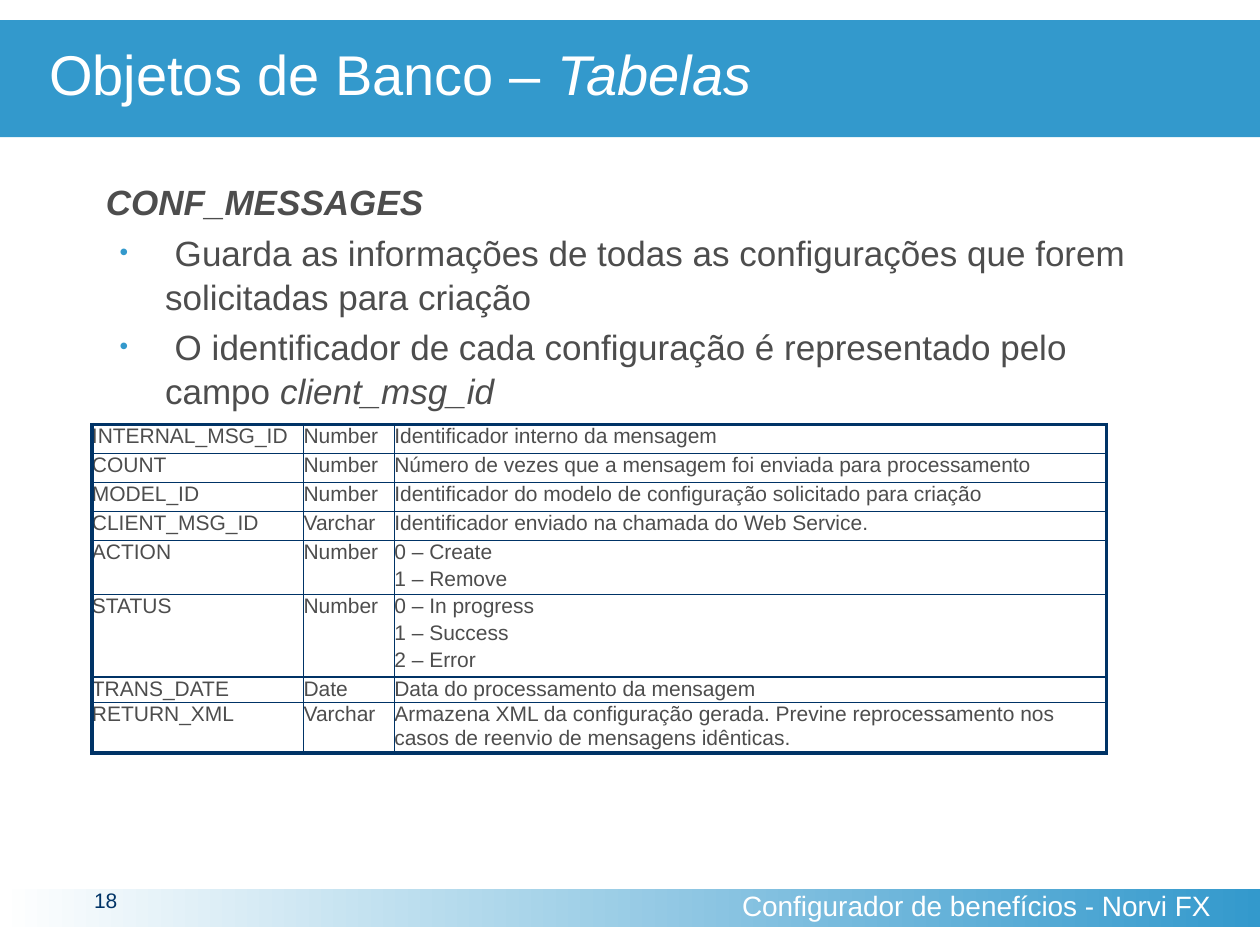
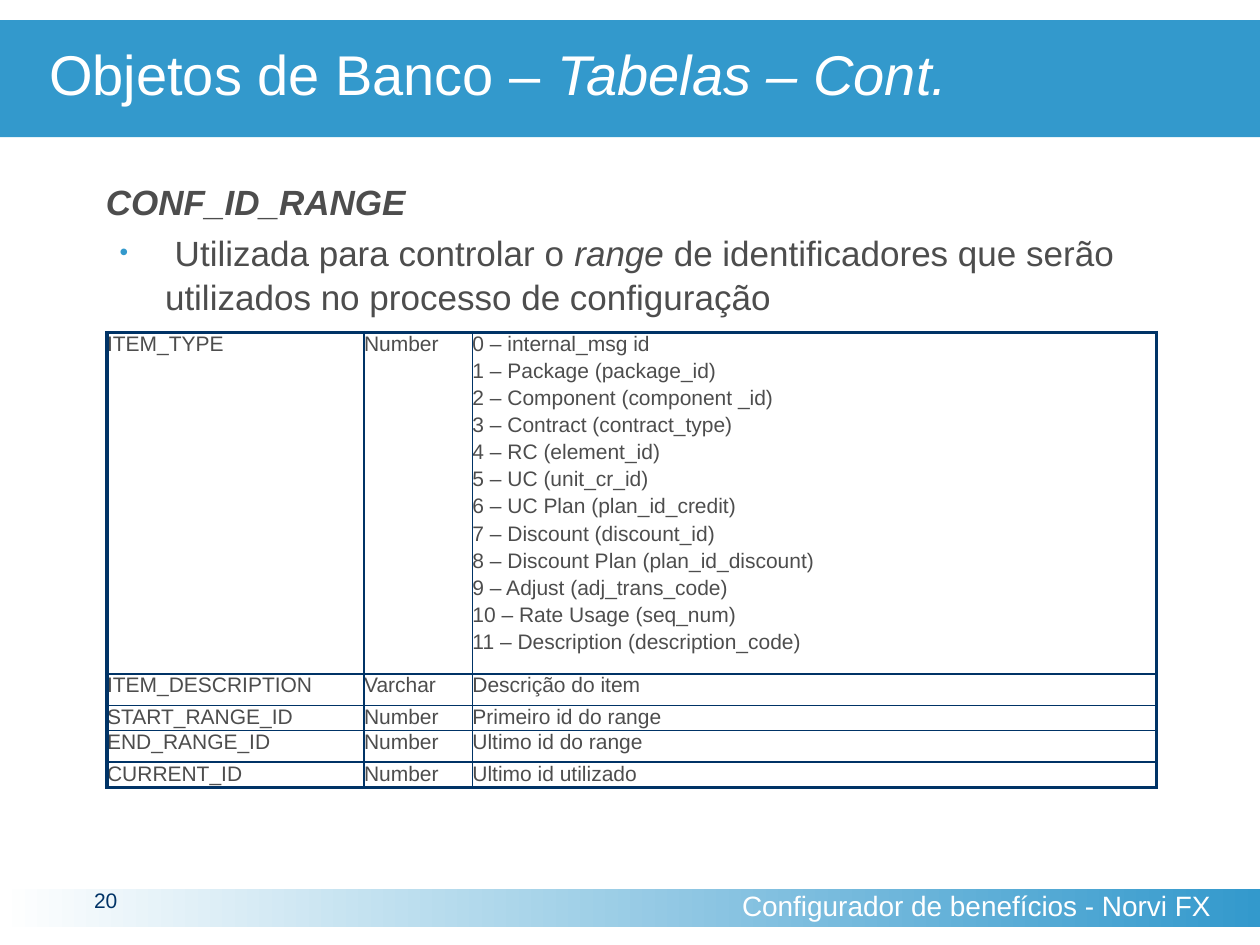
from dataclasses import dataclass

from lxml.etree import SubElement
from pptx import Presentation
from pptx.dml.color import RGBColor
from pptx.enum.shapes import MSO_SHAPE
from pptx.enum.text import MSO_ANCHOR, PP_ALIGN
from pptx.oxml.ns import qn
from pptx.util import Inches, Pt


@dataclass(frozen=True)
class Theme:
    font: str = "Arial"
    band: str = "3399CC"
    navy: str = "003366"
    ink: str = "4D4D4D"
    white: str = "FFFFFF"
    title_size: int = 32
    body_size: int = 20
    footer_size: int = 16
    small_size: int = 12
    outer_line: float = 2.25
    inner_line: float = 1


THEME = Theme()
WIDTH, HEIGHT = 10, 7.5
FOOTER_TOP, FOOTER_HEIGHT = 7.06, 0.3
FOOTER = "Configurador de benefícios - Norvi FX"

# Content: each paragraph is a list of (text, style) spans, style "b", "i" or both
SLIDES = [
    {
        "number": "18",
        "title": [("Objetos de Banco – ", ""), ("Tabelas", "i")],
        "heading": "CONF_MESSAGES",
        "bullets": [
            [(" Guarda as informações de todas as configurações que forem "
              "solicitadas para criação", "")],
            [(" O identificador de cada configuração é representado pelo campo ", ""),
             ("client_msg_id", "i")],
        ],
        "table_at": (0.73, 3.37),
        "columns": (1.68, 0.72, 5.65),
        "rows": [
            (0.23, "INTERNAL_MSG_ID", "Number", ["Identificador interno da mensagem"]),
            (0.23, "COUNT", "Number",
             ["Número de vezes que a mensagem foi enviada para processamento"]),
            (0.23, "MODEL_ID", "Number",
             ["Identificador do modelo de configuração solicitado para criação"]),
            (0.23, "CLIENT_MSG_ID", "Varchar",
             ["Identificador enviado na chamada do Web Service."]),
            (0.4, "ACTION", "Number", ["0 – Create", "1 – Remove"]),
            (0.63, "STATUS", "Number", ["0 – In progress", "1 – Success", "2 – Error"]),
            (0.19, "TRANS_DATE", "Date", ["Data do processamento da mensagem"]),
            (0.37, "RETURN_XML", "Varchar",
             ["Armazena XML da configuração gerada. Previne reprocessamento nos "
              "casos de reenvio de mensagens idênticas."]),
        ],
    },
    {
        "number": "20",
        "title": [("Objetos de Banco – ", ""), ("Tabelas – Cont.", "i")],
        "heading": "CONF_ID_RANGE",
        "bullets": [
            [(" Utilizada para controlar o ", ""), ("range", "i"),
             (" de identificadores que serão utilizados no processo de configuração", "")],
        ],
        "table_at": (0.85, 2.64),
        "columns": (2.04, 0.86, 5.43),
        "rows": [
            (2.61, "ITEM_TYPE", "Number", [
                "0 – internal_msg id",
                "1 – Package (package_id)",
                "2 – Component (component _id)",
                "3 – Contract (contract_type)",
                "4 – RC (element_id)",
                "5 – UC (unit_cr_id)",
                "6 – UC Plan (plan_id_credit)",
                "7 – Discount (discount_id)",
                "8 – Discount Plan (plan_id_discount)",
                "9 – Adjust (adj_trans_code)",
                "10 – Rate Usage (seq_num)",
                "11 – Description (description_code)",
            ]),
            (0.25, "ITEM_DESCRIPTION", "Varchar", ["Descrição do item"]),
            (0.2, "START_RANGE_ID", "Number", ["Primeiro id do range"]),
            (0.25, "END_RANGE_ID", "Number", ["Ultimo id do range"]),
            (0.2, "CURRENT_ID", "Number", ["Ultimo id utilizado"]),
        ],
    },
]


def rgb(color):
    return RGBColor.from_string(color)


def write(frame, paragraphs, *, size, color, align=PP_ALIGN.LEFT, line=None,
          before=0, indent=0, bulleted_from=None):
    """Fill a text frame with paragraphs, each a list of (text, style) spans."""
    frame.word_wrap = True
    for index, spans in enumerate(paragraphs):
        para = frame.paragraphs[0] if index == 0 else frame.add_paragraph()
        if bulleted_from is not None and index >= bulleted_from:
            add_bullet(para)
        elif indent:
            para._p.get_or_add_pPr().set("marL", str(Inches(indent)))
        para.alignment = align
        if line is not None:
            para.line_spacing = line
        if index:
            para.space_before = Pt(before)
        for text, style in spans:
            span = para.add_run()
            span.text = text
            span.font.name = THEME.font
            span.font.size = Pt(size)
            span.font.color.rgb = rgb(color)
            span.font.bold = "b" in style
            span.font.italic = "i" in style


def add_bullet(para):
    properties = para._p.get_or_add_pPr()
    properties.set("marL", str(Inches(0.47)))
    properties.set("indent", str(Inches(-0.36)))
    color = SubElement(properties, qn("a:buClr"))
    SubElement(color, qn("a:srgbClr"), val=THEME.band)
    SubElement(properties, qn("a:buSzPct"), val="70000")
    SubElement(properties, qn("a:buFont"), typeface=THEME.font)
    SubElement(properties, qn("a:buChar"), char="•")


def clear_margins(target):
    target.margin_left = target.margin_right = 0
    target.margin_top = target.margin_bottom = 0


def add_text(page, paragraphs, at, *, anchor=MSO_ANCHOR.TOP, right=0, **text_format):
    frame = page.shapes.add_textbox(*map(Inches, at)).text_frame
    clear_margins(frame)
    frame.margin_right = Inches(right)
    frame.vertical_anchor = anchor
    write(frame, paragraphs, **text_format)


def add_band(page, top, height):
    band = page.shapes.add_shape(MSO_SHAPE.RECTANGLE,
                                 *map(Inches, (0, top, WIDTH, height)))
    band.shadow.inherit = False
    band.line.fill.background()
    return band


def add_footer(page, number):
    band = add_band(page, FOOTER_TOP, FOOTER_HEIGHT)
    band.fill.gradient()
    band.fill.gradient_angle = 0
    for stop, position, color in zip(band.fill.gradient_stops, (0, 1),
                                     (THEME.white, THEME.band)):
        stop.position = position
        stop.color.rgb = rgb(color)
    add_text(page, [[(FOOTER, "")]], (5.31, FOOTER_TOP, 4.69, FOOTER_HEIGHT),
             anchor=MSO_ANCHOR.MIDDLE, right=0.39, size=THEME.footer_size,
             color=THEME.white, align=PP_ALIGN.RIGHT, line=0.8)
    add_text(page, [[(number, "")]], (0.31, FOOTER_TOP, 1.06, 0.31),
             size=THEME.small_size, color=THEME.navy, align=PP_ALIGN.CENTER, line=Pt(13))


def add_title(page, spans):
    band = add_band(page, 0.16, 0.93)
    band.fill.solid()
    band.fill.fore_color.rgb = rgb(THEME.band)
    clear_margins(band.text_frame)
    band.text_frame.vertical_anchor = MSO_ANCHOR.MIDDLE
    write(band.text_frame, [spans], size=THEME.title_size, color=THEME.white,
          line=0.85, indent=0.39)


def draw_borders(cell, outer_sides):
    """Draw all four sides, heavier where the cell meets the table's edge."""
    properties = cell._tc.get_or_add_tcPr()
    for side in "LRTB":
        points = THEME.outer_line if side in outer_sides else THEME.inner_line
        line = SubElement(properties, qn(f"a:ln{side}"), w=str(Pt(points)))
        fill = SubElement(line, qn("a:solidFill"))
        SubElement(fill, qn("a:srgbClr"), val=THEME.navy)


def add_field_table(page, at, columns, rows):
    left, top = at
    height = sum(row[0] for row in rows)
    table = page.shapes.add_table(
        len(rows), len(columns),
        *map(Inches, (left, top, sum(columns), height))).table
    table.first_row = table.horz_banding = False
    for column, width in zip(table.columns, columns):
        column.width = Inches(width)
    for row_index, (row_height, name, kind, notes) in enumerate(rows):
        table.rows[row_index].height = Inches(row_height)
        for column_index, lines in enumerate(([name], [kind], notes)):
            cell = table.cell(row_index, column_index)
            clear_margins(cell)
            edges = {"L": column_index == 0, "R": column_index == len(columns) - 1,
                     "T": row_index == 0, "B": row_index == len(rows) - 1}
            draw_borders(cell, [side for side, outer in edges.items() if outer])
            cell.fill.background()
            write(cell.text_frame, [[(text, "")] for text in lines],
                  size=THEME.small_size, color=THEME.ink, before=2)


def main():
    deck = Presentation()
    deck.slide_width, deck.slide_height = Inches(WIDTH), Inches(HEIGHT)
    for content in SLIDES:
        page = deck.slides.add_slide(deck.slide_layouts[6])
        add_footer(page, content["number"])
        add_title(page, content["title"])
        add_text(page, [[(content["heading"], "bi")], *content["bullets"]],
                 (0.84, 1.42, 8.34, 5.5), size=THEME.body_size, color=THEME.ink,
                 line=1.05, before=3.5, bulleted_from=1)
        add_field_table(page, content["table_at"], content["columns"], content["rows"])
    deck.save("out.pptx")


if __name__ == "__main__":
    main()
